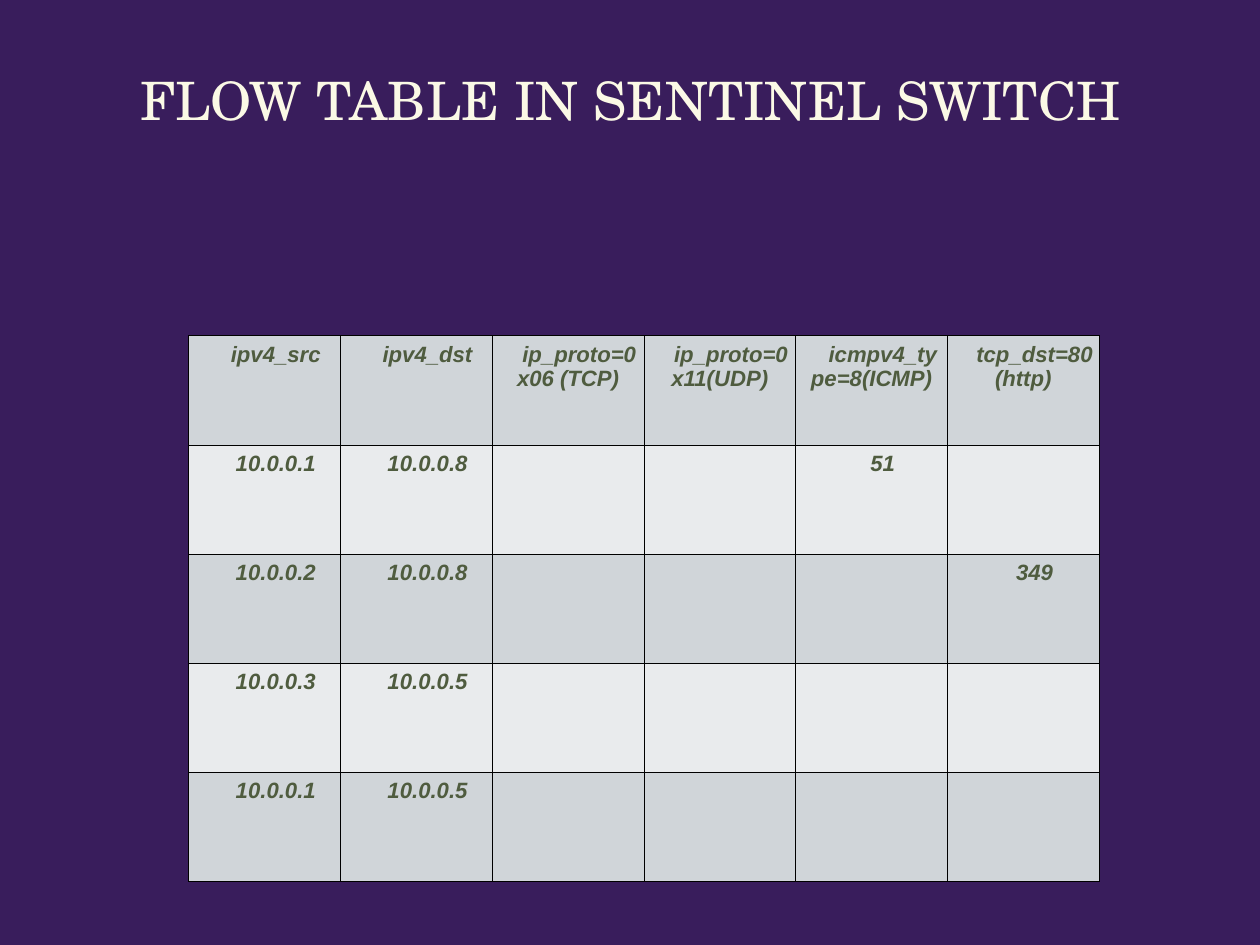
import pptx
import pptx.dml.color
import pptx.enum.text
import pptx.oxml
import pptx.oxml.ns
import pptx.util

Cm = pptx.util.Cm
Pt = pptx.util.Pt
RGBColor = pptx.dml.color.RGBColor
PP_ALIGN = pptx.enum.text.PP_ALIGN
MSO_ANCHOR = pptx.enum.text.MSO_ANCHOR

PURPLE = RGBColor(0x39, 0x1D, 0x5C)
CREAM = RGBColor(0xFB, 0xF9, 0xE6)
OLIVE = RGBColor(0x4F, 0x5C, 0x3F)
BLACK = RGBColor(0x00, 0x00, 0x00)
ROW_FILLS = (RGBColor(0xD0, 0xD5, 0xD9), RGBColor(0xE9, 0xEB, 0xED))

# Boxes are left, top, width, height in centimetres
TITLE_BOX = (2.29, 0.05, 31.55, 5.84)
TABLE_BOX = (5.41, 9.63, 26.1, 15.65)

FLOWS = [
    ["ipv4_src", "ipv4_dst", "ip_proto=0x06 (TCP)", "ip_proto=0x11(UDP)",
     "icmpv4_type=8(ICMP)", "tcp_dst=80(http)"],
    ["10.0.0.1", "10.0.0.8", "", "", "51", ""],
    ["10.0.0.2", "10.0.0.8", "", "", "", "349"],
    ["10.0.0.3", "10.0.0.5", "", "", "", ""],
    ["10.0.0.1", "10.0.0.5", "", "", "", ""],
]


def add_run(para, text, font_name, size, color):
    span = para.add_run()
    span.text = text
    span.font.name = font_name
    span.font.size = Pt(size)
    span.font.color.rgb = color
    return span


def place_title(page, box, text):
    title = page.shapes.title
    title.left, title.top, title.width, title.height = map(Cm, box)
    frame = title.text_frame
    frame.word_wrap = True
    frame.auto_size = pptx.enum.text.MSO_AUTO_SIZE.NONE
    frame.vertical_anchor = MSO_ANCHOR.MIDDLE
    frame.margin_left = frame.margin_right = 0
    frame.margin_top = frame.margin_bottom = 0
    para = frame.paragraphs[0]
    para.alignment = PP_ALIGN.CENTER
    para.line_spacing = 0.9
    add_run(para, text, "TeX Gyre Schola", 43, CREAM)


def border_cell(cell, color, width):
    # Border lines come before the fill in the cell properties
    properties = cell._tc.get_or_add_tcPr()
    for position, side in enumerate(("lnL", "lnR", "lnT", "lnB")):
        line = pptx.oxml.parse_xml(
            f'<a:{side} {pptx.oxml.ns.nsdecls("a")} w="{Pt(width)}">'
            f'<a:solidFill><a:srgbClr val="{color}"/></a:solidFill></a:{side}>')
        properties.insert(position, line)


def fill_cell(cell, text, fill):
    cell.fill.solid()
    cell.fill.fore_color.rgb = fill
    border_cell(cell, BLACK, 0.75)
    cell.margin_left = cell.margin_right = Cm(0.18)
    cell.margin_top = cell.margin_bottom = Cm(0.18)
    if text:
        para = cell.text_frame.paragraphs[0]
        para.alignment = PP_ALIGN.CENTER
        properties = para._p.get_or_add_pPr()
        properties.set("marL", "0")
        properties.set("indent", str(Cm(0.64)))
        span = add_run(para, text, "Arial", 18, OLIVE)
        span.font.bold = span.font.italic = True


def place_flow_table(page, box, rows):
    left, top, width, height = map(Cm, box)
    table = page.shapes.add_table(
        len(rows), len(rows[0]), left, top, width, height).table
    for row_index, row in enumerate(rows):
        for column_index, text in enumerate(row):
            fill_cell(table.cell(row_index, column_index), text,
                      ROW_FILLS[row_index % 2])


def main():
    deck = pptx.Presentation()
    deck.slide_width = Cm(36.12)
    deck.slide_height = Cm(27.1)

    # Title-only page with a plain background
    page = deck.slides.add_slide(deck.slide_layouts[5])
    page.background.fill.solid()
    page.background.fill.fore_color.rgb = PURPLE

    place_title(page, TITLE_BOX, "FLOW TABLE IN SENTINEL SWITCH")
    place_flow_table(page, TABLE_BOX, FLOWS)
    deck.save("out.pptx")


if __name__ == "__main__":
    main()
